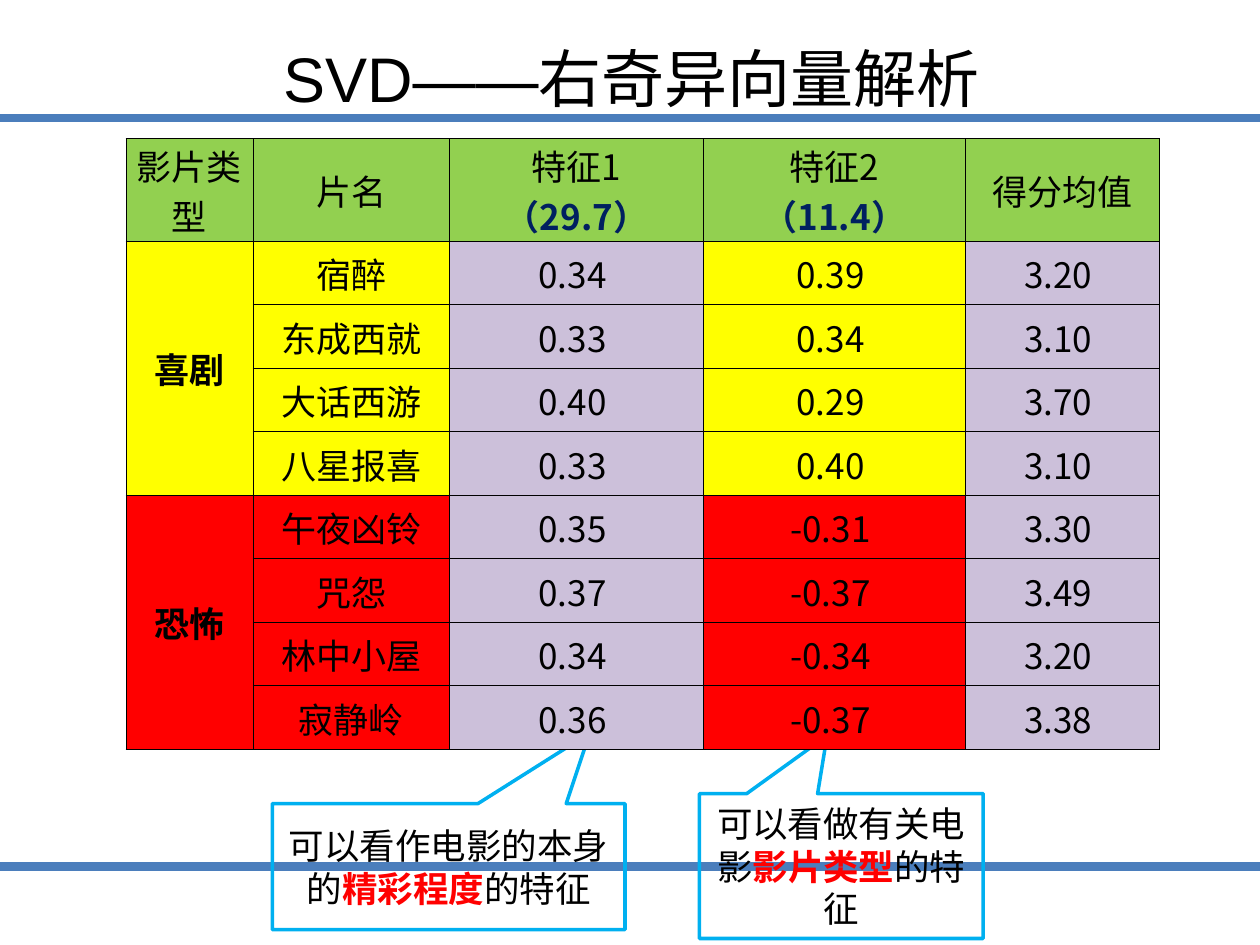
from dataclasses import dataclass

from lxml.etree import SubElement
from pptx import Presentation
from pptx.dml.color import RGBColor
from pptx.enum.shapes import MSO_CONNECTOR, MSO_SHAPE
from pptx.enum.text import MSO_ANCHOR as ANCHOR, PP_ALIGN as ALIGN
from pptx.oxml.ns import qn
from pptx.util import Cm, Pt


@dataclass(frozen=True)
class Theme:
    black: str = "000000"
    navy: str = "002060"
    red: str = "FF0000"
    yellow: str = "FFFF00"
    green: str = "92D050"
    lilac: str = "CCC0DA"
    sky: str = "00B0F0"
    rule: str = "4B7EBC"
    title_font: str = "Arial"
    note_font: str = "Times New Roman"
    cjk_font: str = "Noto Sans CJK SC"
    title_size: float = 36
    note_size: float = 20.3
    table_size: float = 20


HEADERS = ["影片类型", "片名", ("特征1", "（29.7）"), ("特征2", "（11.4）"), "得分均值"]
GENRES = [
    ("喜剧", Theme.yellow, [
        ("宿醉", 0.34, 0.39, 3.20),
        ("东成西就", 0.33, 0.34, 3.10),
        ("大话西游", 0.40, 0.29, 3.70),
        ("八星报喜", 0.33, 0.40, 3.10),
    ]),
    ("恐怖", Theme.red, [
        ("午夜凶铃", 0.35, -0.31, 3.30),
        ("咒怨", 0.37, -0.37, 3.49),
        ("林中小屋", 0.34, -0.34, 3.20),
        ("寂静岭", 0.36, -0.37, 3.38),
    ]),
]
COL_WIDTHS = [2.56, 3.96, 5.12, 5.28, 3.91]
HEADER_HEIGHT, ROW_HEIGHT = 1.73, 1.28


def rgb(value):
    return RGBColor.from_string(value)


class SlideBuilder:
    def __init__(self, prs, theme):
        self.theme = theme
        self.s = prs.slides.add_slide(prs.slide_layouts[5])

    def style_run(self, r, font, size, color, bold=False):
        r.font.name, r.font.size, r.font.bold = font, Pt(size), bold
        r.font.color.rgb = rgb(color)
        SubElement(r.font._element, qn("a:ea"), typeface=self.theme.cjk_font)

    def title(self, text, left, top, width, height):
        sp = self.s.shapes.title
        sp.left, sp.top, sp.width, sp.height = map(Cm, (left, top, width, height))
        tf = sp.text_frame
        tf.text = text
        tf.vertical_anchor = ANCHOR.MIDDLE
        p = tf.paragraphs[0]
        p.alignment = ALIGN.CENTER
        self.style_run(p.runs[0], self.theme.title_font, self.theme.title_size, self.theme.black)

    def rule(self, y, width):
        line = self.s.shapes.add_connector(MSO_CONNECTOR.STRAIGHT, 0, Cm(y), Cm(width), Cm(y))
        line.line.color.rgb = rgb(self.theme.rule)
        line.line.width = Pt(5)
        SubElement(line._element.spPr, qn("a:effectLst"))

    def callout(self, parts, left, top, width, height, tip):
        """Draw an unfilled callout; the middle one of its three text parts is emphasised."""
        sp = self.s.shapes.add_shape(MSO_SHAPE.RECTANGULAR_CALLOUT,
                                     *map(Cm, (left, top, width, height)))
        sp.adjustments[0], sp.adjustments[1] = tip
        sp.shadow.inherit = False
        sp.fill.background()
        sp.line.color.rgb = rgb(self.theme.sky)
        sp.line.width = Pt(2)
        tf = sp.text_frame
        tf.word_wrap = True
        tf.vertical_anchor = ANCHOR.MIDDLE
        p = tf.paragraphs[0]
        p.alignment = ALIGN.CENTER
        for i, part in enumerate(parts):
            r = p.add_run()
            r.text = part
            color = self.theme.red if i == 1 else self.theme.black
            self.style_run(r, self.theme.note_font, self.theme.note_size, color, i == 1)

    def cell(self, cell, text, fill, bold=False):
        """Fill one cell; a (label, weight) pair puts the weight on a second line."""
        cell.margin_left = cell.margin_top = cell.margin_right = Cm(0.02)
        cell.margin_bottom = 0
        cell.vertical_anchor = ANCHOR.MIDDLE
        tc_pr = cell._tc.get_or_add_tcPr()
        for side in ("lnL", "lnR", "lnT", "lnB"):
            ln = SubElement(tc_pr, qn(f"a:{side}"), w=str(Pt(0.5)))
            SubElement(SubElement(ln, qn("a:solidFill")), qn("a:srgbClr"), val=self.theme.black)
        cell.fill.solid()
        cell.fill.fore_color.rgb = rgb(fill)
        p = cell.text_frame.paragraphs[0]
        p.alignment = ALIGN.CENTER
        label, weight = text if isinstance(text, tuple) else (text, None)
        p.text = label
        if weight:
            p.add_line_break()
            p.add_run().text = weight
        for i, r in enumerate(p.runs):
            color = self.theme.navy if i else self.theme.black
            self.style_run(r, self.theme.cjk_font, self.theme.table_size, color, bold or i > 0)

    def film_table(self, left, top):
        film_count = sum(len(films) for _, _, films in GENRES)
        height = HEADER_HEIGHT + ROW_HEIGHT * film_count
        table = self.s.shapes.add_table(film_count + 1, len(HEADERS), Cm(left), Cm(top),
                                        Cm(sum(COL_WIDTHS)), Cm(height)).table
        for col, width in zip(table.columns, COL_WIDTHS):
            col.width = Cm(width)
        for i, row in enumerate(table.rows):
            row.height = Cm(ROW_HEIGHT if i else HEADER_HEIGHT)
        for col, header in enumerate(HEADERS):
            self.cell(table.cell(0, col), header, self.theme.green)
        first = 1
        for genre, color, films in GENRES:
            fills = [color, self.theme.lilac, color, self.theme.lilac]
            for row, (name, *scores) in enumerate(films, first):
                self.cell(table.cell(row, 0), genre if row == first else "", color, bold=True)
                texts = [name] + [f"{score:.2f} " for score in scores]
                for col, (text, fill) in enumerate(zip(texts, fills), 1):
                    self.cell(table.cell(row, col), text, fill)
            last = first + len(films) - 1
            table.cell(first, 0).merge(table.cell(last, 0))
            first = last + 1


def main():
    prs = Presentation()
    prs.slide_width, prs.slide_height = Cm(25.4), Cm(19.05)
    slide = SlideBuilder(prs, Theme())
    for y in (2.38, 17.47):
        slide.rule(y, 25.4)
    slide.title("SVD——右奇异向量解析", 1.3, 0.33, 22.86, 2.46)
    slide.callout(("可以看作电影的本身的", "精彩程度", "的特征"),
                  5.49, 16.2, 7.11, 2.54, tip=(0.4, -1.06))
    slide.callout(("可以看做有关电影", "影片类型", "的特征"),
                  14.1, 16, 5.72, 2.92, tip=(-0.05, -0.9))
    slide.film_table(2.54, 2.79)
    prs.save("out.pptx")


if __name__ == "__main__":
    main()
